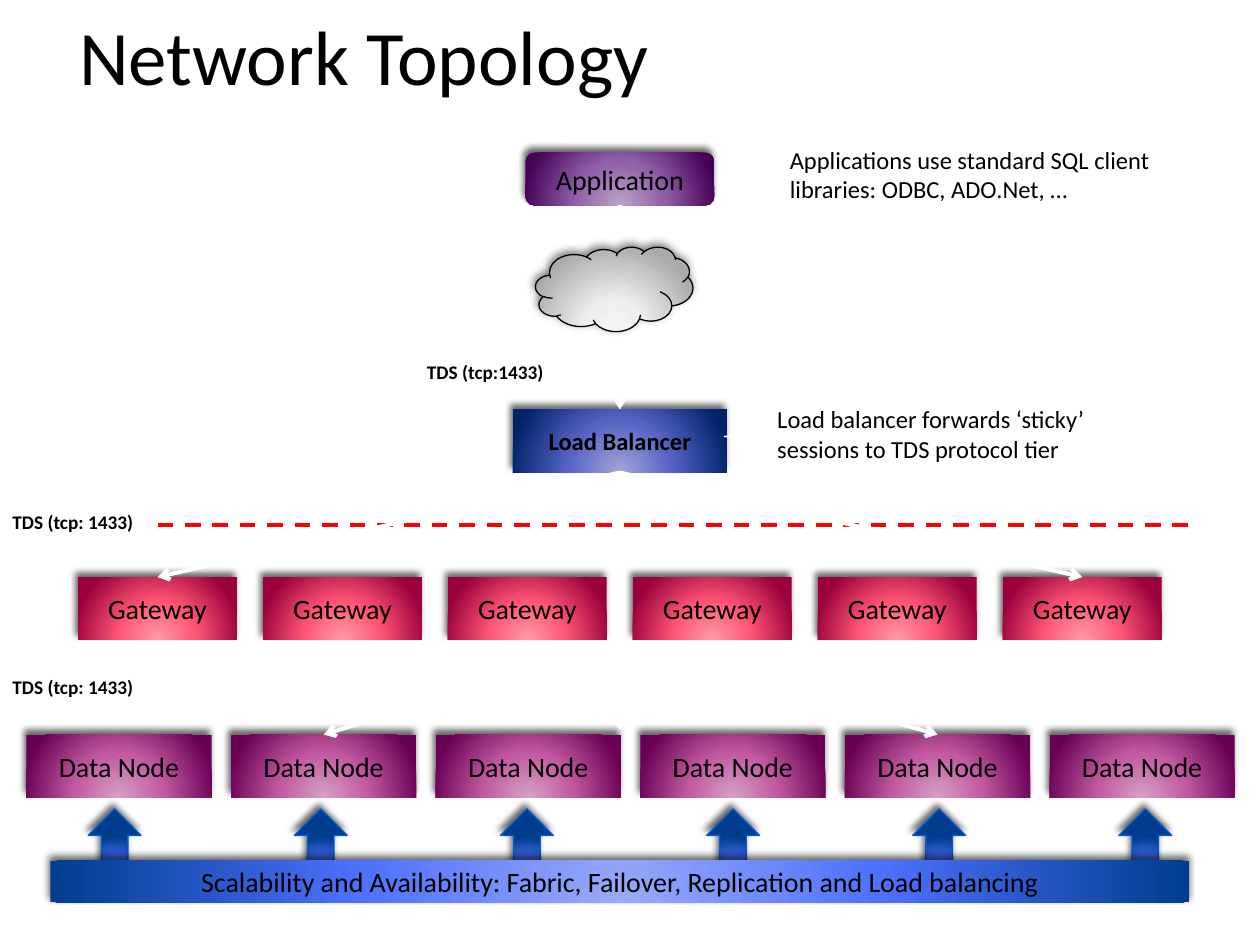
"""Build a network topology slide with its gateway and data node tiers."""
from lxml import etree
from pptx import Presentation
from pptx.dml.color import RGBColor
from pptx.enum.dml import MSO_LINE
from pptx.enum.shapes import MSO_CONNECTOR, MSO_SHAPE
from pptx.enum.text import MSO_ANCHOR, MSO_AUTO_SIZE, PP_ALIGN
from pptx.oxml import parse_xml
from pptx.oxml.ns import nsdecls, qn
from pptx.util import Inches, Pt

RECT, ROUNDED, CLOUD = MSO_SHAPE.RECTANGLE, MSO_SHAPE.ROUNDED_RECTANGLE, MSO_SHAPE.CLOUD
BRACE, ARROW = MSO_SHAPE.LEFT_BRACE, MSO_SHAPE.DOWN_ARROW
STRAIGHT, DASH = MSO_CONNECTOR.STRAIGHT, MSO_LINE.DASH
MIDDLE, CENTER = MSO_ANCHOR.MIDDLE, PP_ALIGN.CENTER
GROW, FIXED = MSO_AUTO_SIZE.SHAPE_TO_FIT_TEXT, MSO_AUTO_SIZE.NONE
TOP, BOTTOM = 0, 2

THEME = {
    "font": "Calibri", "ink": "000000", "link": "FFFFFF", "boundary": "FF0000",
    "arrow_edge": "005BD3",
    "title": 44, "box": 16, "note": 14, "port": 11,
    "application": ((0, "BBA5C6"), (46, "905FA8"), (100, "460055")),
    "cloud": ((0, "F4F4F4"), (34, "EFEFEF"), (100, "ABABAB")),
    "balancer": ((0, "A1A6D6"), (46, "5864C4"), (100, "00236A")),
    "gateway": ((0, "FF9BA9"), (46, "FF5575"), (100, "99003C")),
    "data": ((0, "D5A2C3"), (46, "C259A1"), (100, "690055")),
    "fabric": ((0, "9AAAF8"), (46, "4C71FB"), (100, "003D8E")),
}
DEEP_SHADOW, CLOUD_SHADOW = (60, 4, 3), (50, 5, 2)

TITLE = "Network Topology"
FABRIC = "Scalability and Availability: Fabric, Failover, Replication and Load balancing"
NOTES = [
    ("Applications use standard SQL client libraries: ODBC, ADO.Net, …",
     (6.17, 1.1, 3.5, 0.57), (5.74, 0.83, 0.42, 1.17)),
    ("Load balancer forwards ‘sticky’ sessions to TDS protocol tier",
     (6.07, 3.16, 3.25, 0.57), (5.75, 3.05, 0.42, 0.83)),
]
PORTS = [
    ("TDS (tcp:1433)", (3.29, 2.81, 1.14, 0.29)),
    ("TDS (tcp: 1433)", (0, 4, 1.17, 0.29)),
    ("TDS (tcp: 1433)", (0, 5.31, 1.17, 0.29)),
]
BOUNDARIES = [(4.17, "boundary"), (5.47, "link")]
NODES = 6
AXIS = 4.92
GATEWAY_EXIT = (4.91, 5.11)


def row(first, last, top, width, height):
    pitch = (last - first) / (NODES - 1)
    return [(first + i * pitch, top, width, height) for i in range(NODES)]


def write(shape, text, size, bold=False):
    paragraph = shape.text_frame.paragraphs[0]
    run = paragraph.add_run()
    run.text = text
    run.font.name, run.font.size, run.font.bold = THEME["font"], Pt(size), bold
    run.font.color.rgb = RGBColor.from_string(THEME["ink"])
    return paragraph


def add_label(slide, text, place, size, bold=False, wrap=True, fit=GROW):
    label = slide.shapes.add_textbox(*map(Inches, place))
    label.text_frame.word_wrap = wrap
    label.text_frame.auto_size = fit
    return label, write(label, text, size, bold)


def set_edge(line, color, width):
    line.color.rgb = RGBColor.from_string(color)
    line.width = Pt(width)


def add_glow_box(slide, kind, place, stops, text=None, size=THEME["box"], bold=False,
                 edge=None, shadow=DEEP_SHADOW):
    box = slide.shapes.add_shape(kind, *map(Inches, place))
    if edge:
        set_edge(box.line, edge, 0.75)
    else:
        box.line.fill.background()
    colors = "".join(f'<a:gs pos="{at * 1000}"><a:srgbClr val="{color}"/></a:gs>'
                     for at, color in stops)
    gradient = parse_xml(
        f'<a:gradFill {nsdecls("a")} rotWithShape="1"><a:gsLst>{colors}</a:gsLst>'
        '<a:path path="circle"><a:fillToRect l="50000" t="155000" r="50000" b="-55000"/>'
        '</a:path></a:gradFill>')
    alpha, blur, distance = shadow
    effect = parse_xml(
        f'<a:effectLst {nsdecls("a")}><a:outerShdw blurRad="{Pt(blur)}" dist="{Pt(distance)}"'
        f' dir="{245 * 60000}" algn="ctr" rotWithShape="0"><a:srgbClr val="000000">'
        f'<a:alpha val="{alpha * 1000}"/></a:srgbClr></a:outerShdw></a:effectLst>')
    properties = box._element.spPr
    properties.find(qn("a:prstGeom")).addnext(gradient)
    properties.find(qn("a:ln")).addnext(effect)
    if text:
        box.text_frame.word_wrap = True
        box.text_frame.vertical_anchor = MIDDLE
        write(box, text, size, bold).alignment = CENTER
    return box


def add_line(slide, start, end, color, source=None, target=None, dash=None):
    link = slide.shapes.add_connector(STRAIGHT, *map(Inches, start + end))
    if source:
        link.begin_connect(source, BOTTOM)
    if target:
        link.end_connect(target, TOP)
    set_edge(link.line, color, 2.25)
    if dash:
        link.line.dash_style = dash
    else:
        etree.SubElement(link.line._get_or_add_ln(), qn("a:tailEnd"), type="arrow")
    etree.SubElement(link._element.spPr, qn("a:effectLst"))


def main():
    deck = Presentation()
    deck.slide_width, deck.slide_height = Inches(10), Inches(7.5)
    slide = deck.slides.add_slide(deck.slide_layouts[6])

    title, heading = add_label(slide, TITLE, (0, -0.04, 10, 0.95), THEME["title"], fit=FIXED)
    title.text_frame.vertical_anchor = MIDDLE
    heading._p.get_or_add_pPr().set("marL", str(Inches(0.53)))

    application = add_glow_box(slide, ROUNDED, (4.17, 1.21, 1.5, 0.42), THEME["application"],
                               "Application")
    balancer = add_glow_box(slide, RECT, (4.07, 3.25, 1.7, 0.5), THEME["balancer"],
                            "Load Balancer", THEME["note"], True)
    white = THEME["link"]
    add_line(slide, (AXIS, 1.63), (AXIS, 3.25), white, application, balancer)
    add_glow_box(slide, CLOUD, (4.25, 1.96, 1.25, 0.67), THEME["cloud"],
                 edge=THEME["ink"], shadow=CLOUD_SHADOW)

    for top, color in BOUNDARIES:
        add_line(slide, (1.25, top), (9.5, top), THEME[color], dash=DASH)
    add_line(slide, (AXIS, 3.75), (AXIS, 4.58), white, balancer)
    for port, place in PORTS:
        add_label(slide, port, place, THEME["port"], True, wrap=False)
    for note, place, brace_place in NOTES:
        brace = slide.shapes.add_shape(BRACE, *map(Inches, brace_place))
        brace.shadow.inherit = False
        brace.fill.background()
        set_edge(brace.line, white, 1)
        add_label(slide, note, place, THEME["note"])

    data_nodes = [add_glow_box(slide, RECT, place, THEME["data"], "Data Node")
                  for place in row(0.21, 8.33, 5.83, 1.47, 0.5)]
    gateways = [add_glow_box(slide, RECT, place, THEME["gateway"], "Gateway")
                for place in row(0.62, 7.96, 4.58, 1.26, 0.5)]
    for place in row(0.7, 8.88, 6.42, 0.42, 0.58):
        arrow = add_glow_box(slide, ARROW, place, THEME["fabric"], edge=THEME["arrow_edge"])
        arrow._element.spPr.find(qn("a:xfrm")).set("flipV", "1")
    add_glow_box(slide, RECT, (0.4, 6.83, 9.04, 0.33), THEME["fabric"], FABRIC)

    for gateway, x in ((gateways[0], 1.25), (gateways[-1], 8.6)):
        add_line(slide, (AXIS, 3.75), (x, 4.58), white, balancer, gateway)
    add_line(slide, GATEWAY_EXIT, (AXIS, 5.79), white)
    for node, x in ((data_nodes[1], 2.57), (data_nodes[-2], 7.44)):
        add_line(slide, GATEWAY_EXIT, (x, 5.83), white, target=node)

    deck.save("out.pptx")


if __name__ == "__main__":
    main()
